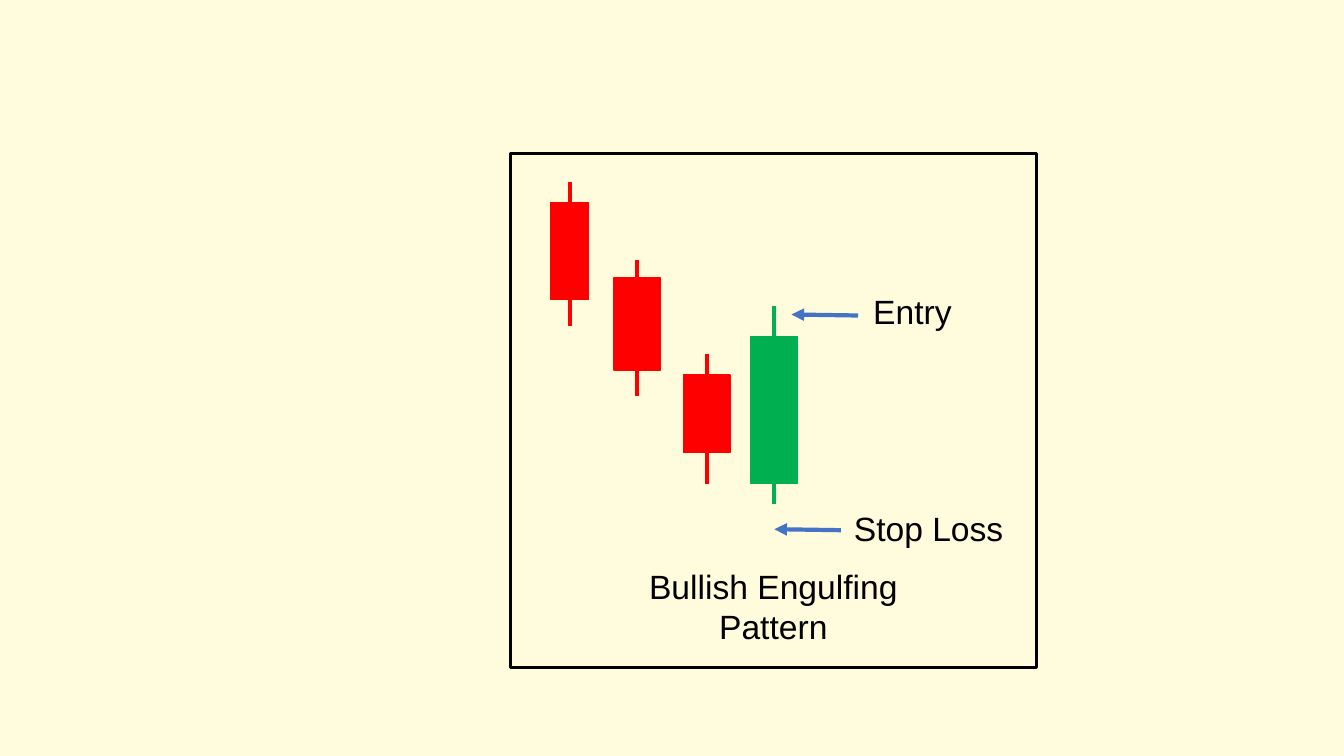
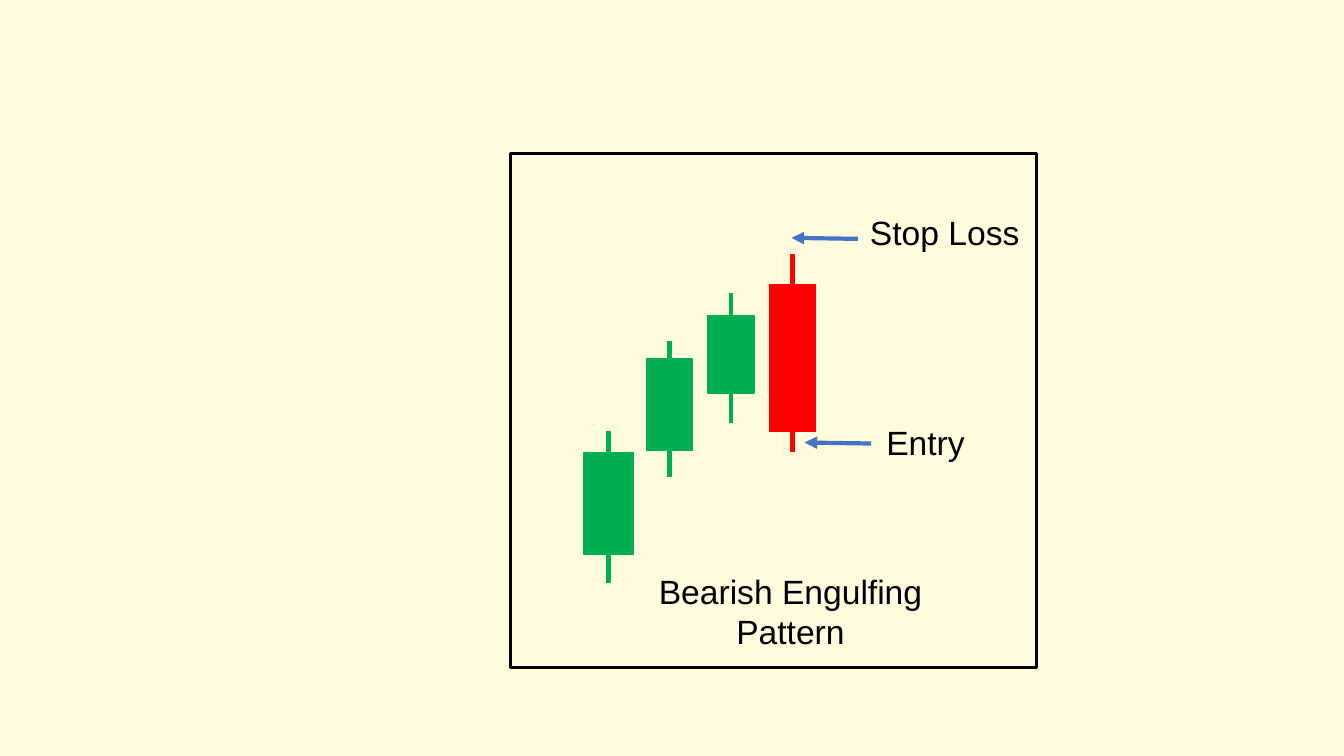
from pptx import Presentation
from pptx.dml.color import RGBColor
from pptx.enum.shapes import MSO_CONNECTOR, MSO_SHAPE
from pptx.enum.text import PP_ALIGN
from pptx.oxml.ns import qn
from pptx.util import Inches, Pt
from lxml import etree

RECT = MSO_SHAPE.RECTANGLE
LINE = MSO_CONNECTOR.STRAIGHT
CENTER = PP_ALIGN.CENTER

HUES = {"back": "FFFBDD", "ink": "000000", "fall": "FF0000",
        "rise": "00B050", "arrow": "4472C4"}
FRAME = (5.06, 1.52, 5.22, 5.1)
REACH = 0.66

BULL = {
    "title": (["Bullish Engulfing", "Pattern"], 1.15, 4.04),
    "candles": [
        ("fall", 0.4, 0.49, 0.38, 0.96, 0.29, 1.71),
        ("fall", 1.03, 1.24, 0.46, 0.91, 1.06, 2.41),
        ("fall", 1.72, 2.2, 0.46, 0.77, 1.99, 3.28),
        ("rise", 2.39, 1.82, 0.46, 1.46, 1.52, 3.48),
    ],
    "marks": [
        ("Entry", (2.79, 1.6), (3.12, 1.32)),
        ("Stop Loss", (2.62, 3.73), (3.28, 3.47)),
    ],
}
BEAR = {
    "title": (["Bearish Engulfing", "Pattern"], 1.32, 4.09),
    "candles": [
        ("rise", 0.73, 2.97, 0.49, 1.01, 2.76, 4.26),
        ("rise", 1.35, 2.04, 0.46, 0.91, 1.86, 3.21),
        ("rise", 1.96, 1.61, 0.46, 0.77, 1.39, 2.68),
        ("fall", 2.57, 1.3, 0.46, 1.46, 1.0, 2.96),
    ],
    "marks": [
        ("Entry", (2.92, 2.87), (3.25, 2.62)),
        ("Stop Loss", (2.79, 0.84), (3.44, 0.53)),
    ],
}


def color(name):
    return RGBColor.from_string(HUES[name])


def add_rect(shapes, box, edge, width, fill=None):
    rect = shapes.add_shape(RECT, *map(Inches, box))
    rect.shadow.inherit = False
    rect.line.color.rgb = color(edge)
    rect.line.width = Pt(width)
    if fill:
        rect.fill.solid()
        rect.fill.fore_color.rgb = color(fill)
    else:
        rect.fill.background()


def add_line(shapes, start, end, hue, head=False):
    line = shapes.add_connector(LINE, *map(Inches, start + end))
    line.line.color.rgb = color(hue)
    line.line.width = Pt(3)
    props = line._element.spPr
    if head:
        stroke = props.find(qn("a:ln"))
        etree.SubElement(stroke, qn("a:tailEnd"), type="triangle")
    etree.SubElement(props, qn("a:effectLst"))


def add_text(shapes, rows, box):
    frame = shapes.add_textbox(*map(Inches, box)).text_frame
    frame.word_wrap = True
    frame.text = "\n".join(rows)
    for para in frame.paragraphs:
        para.alignment = CENTER
        para.font.name = "Arial"
        para.font.size = Pt(24)
        para.font.color.rgb = color("ink")


def add_candle(shapes, left, top, candle):
    hue, x, y, width, height, high, low = candle
    group = shapes.add_group_shape().shapes
    add_rect(group, (left + x, top + y, width, height), hue, 1, hue)
    mid = left + x + width / 2
    add_line(group, (mid, top + high), (mid, top + low), hue)


def add_mark(shapes, left, top, mark):
    text, (x, y), (tx, ty) = mark
    tip = (left + x, top + y)
    add_line(shapes, (tip[0] + REACH, tip[1] + 0.01), tip, "arrow", True)
    add_text(shapes, [text], (left + tx, top + ty, 1.74, 0.5))


def add_pattern(deck, data, box):
    shapes = deck.slides.add_slide(deck.slide_layouts[6]).shapes
    left, top = box[:2]
    add_rect(shapes, box, "ink", 2)
    for candle in data["candles"]:
        add_candle(shapes, left, top, candle)
    for mark in data["marks"]:
        add_mark(shapes, left, top, mark)
    rows, x, y = data["title"]
    add_text(shapes, rows, (left + x, top + y, 2.92, 0.91))


deck = Presentation()
deck.slide_width = Inches(13.33)
deck.slide_height = Inches(7.5)
back = deck.slide_master.background.fill
back.solid()
back.fore_color.rgb = color("back")
for data in (BULL, BEAR):
    add_pattern(deck, data, FRAME)
deck.save("out.pptx")
